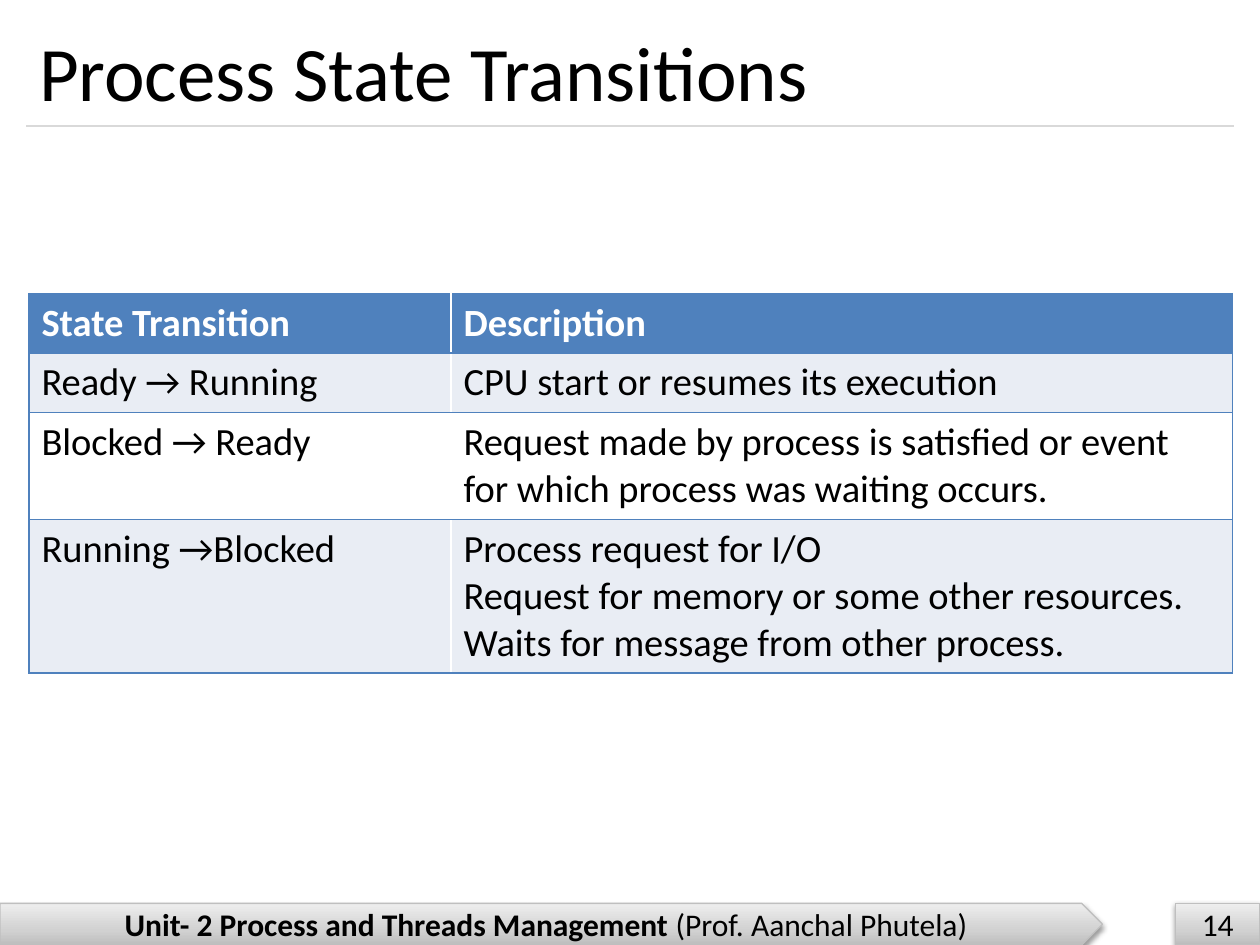
from lxml import etree
from pptx import Presentation
from pptx import util as u
from pptx.dml.color import RGBColor
from pptx.enum import shapes, text
from pptx.oxml import parse_xml
from pptx.oxml.ns import nsdecls, qn

BLACK = RGBColor(0x00, 0x00, 0x00)
WHITE = RGBColor(0xFF, 0xFF, 0xFF)
BLUE = RGBColor(0x4F, 0x81, 0xBD)
BAND = RGBColor(0xE9, 0xED, 0xF4)
RULE_GREY = RGBColor(0xD9, 0xD9, 0xD9)
EDGE_GREY = RGBColor(0xBF, 0xBF, 0xBF)
FOOTER_STOPS = [
    (0, RGBColor(0xBD, 0xBD, 0xBD)),
    (35, RGBColor(0xD1, 0xD1, 0xD1)),
    (100, RGBColor(0xEE, 0xEE, 0xEE)),
]

ROWS = [
    ("State Transition", "Description"),
    ("Ready → Running", "CPU start or resumes its execution"),
    ("Blocked → Ready",
     "Request made by process is satisfied or event for which process was waiting occurs."),
    ("Running →Blocked",
     "Process request for I/O\nRequest for memory or some other resources.\n"
     "Waits for message from other process."),
]
ROW_HEIGHTS = [0.47, 0.47, 0.85, 1.21]
COL_WIDTHS = [3.35, 6.2]


class SlideBuilder:
    def __init__(self, prs, font="Calibri"):
        self.s = prs.slides.add_slide(prs.slide_layouts[5])
        self.font = font

    def style(self, p, size, color=BLACK, bold=False):
        for r in p.runs:
            r.font.name = self.font
            r.font.size = u.Pt(size)
            r.font.bold = bold
            r.font.color.rgb = color

    def title(self, words, x, y, w, h):
        sp = self.s.shapes.title
        sp.left, sp.top, sp.width, sp.height = map(u.Inches, (x, y, w, h))
        tf = sp.text_frame
        tf.text = words
        tf.vertical_anchor = text.MSO_ANCHOR.MIDDLE
        p = tf.paragraphs[0]
        p.alignment = text.PP_ALIGN.LEFT
        self.style(p, 44)

    def rule(self, x1, x2, y):
        line = self.s.shapes.add_connector(
            shapes.MSO_CONNECTOR.STRAIGHT, *map(u.Inches, (x1, y, x2, y)))
        line.line.color.rgb = RULE_GREY
        line.line.width = u.Pt(0.75)
        etree.SubElement(line._element.spPr, qn("a:effectLst"))

    def footer(self, kind, x, w, parts):
        """Add a shaded footer shape; parts holds (words, bold) pairs."""
        sp = self.s.shapes.add_shape(kind, *map(u.Inches, (x, 7.17, w, 0.33)))
        sp.line.color.rgb = EDGE_GREY
        sp.line.width = u.Pt(0.75)
        self.shade(sp)
        tf = sp.text_frame
        tf.word_wrap = True
        tf.vertical_anchor = text.MSO_ANCHOR.MIDDLE
        p = tf.paragraphs[0]
        p.alignment = text.PP_ALIGN.CENTER
        for words, bold in parts:
            r = p.add_run()
            r.text = words
        self.style(p, 18)
        for r, (words, bold) in zip(p.runs, parts):
            r.font.bold = bold

    def shade(self, sp):
        """Give a shape the three-stop gradient and the soft shadow below."""
        stops = "".join(
            f'<a:gs pos="{pos * 1000}"><a:srgbClr val="{color}"/></a:gs>'
            for pos, color in FOOTER_STOPS)
        spPr = sp._element.spPr
        spPr.find(qn("a:prstGeom")).addnext(parse_xml(
            f'<a:gradFill {nsdecls("a")}><a:gsLst>{stops}</a:gsLst>'
            '<a:lin ang="16200000" scaled="0"/></a:gradFill>'))
        spPr.append(parse_xml(
            f'<a:effectLst {nsdecls("a")}><a:outerShdw blurRad="40000" dist="20000" '
            'dir="5400000" rotWithShape="0"><a:srgbClr val="000000">'
            '<a:alpha val="38000"/></a:srgbClr></a:outerShdw></a:effectLst>'))

    def borders(self, cell, sides):
        tcPr = cell._tc.get_or_add_tcPr()
        for i, side in enumerate(sides):
            tcPr.insert(i, parse_xml(
                f'<a:ln{side} {nsdecls("a")} w="12700"><a:solidFill>'
                f'<a:srgbClr val="{BLUE}"/></a:solidFill></a:ln{side}>'))

    def table(self, rows, x, y, widths, heights):
        table = self.s.shapes.add_table(
            len(rows), len(widths),
            *map(u.Inches, (x, y, sum(widths), sum(heights)))).table
        for col, w in zip(table.columns, widths):
            col.width = u.Inches(w)
        for i, (row, h) in enumerate(zip(rows, heights)):
            table.rows[i].height = u.Inches(h)
            for j, words in enumerate(row):
                cell = table.cell(i, j)
                cell.text_frame.text = words
                for p in cell.text_frame.paragraphs:
                    self.style(p, 22, BLACK if i else WHITE, bold=i == 0)
                cell.fill.solid()
                cell.fill.fore_color.rgb = (BAND if i % 2 else WHITE) if i else BLUE
                self.borders(cell, ("R" if j else "L") + "TB")


def main():
    prs = Presentation()
    prs.slide_width, prs.slide_height = u.Inches(10), u.Inches(7.5)
    b = SlideBuilder(prs)
    b.footer(shapes.MSO_SHAPE.PENTAGON, 0, 8.75, [
        ("Unit- 2 Process and Threads Management ", True),
        ("(Prof. Aanchal Phutela)", False)])
    b.footer(shapes.MSO_SHAPE.RECTANGLE, 9.33, 0.67, [("14", False)])
    b.rule(0.21, 9.79, 1)
    b.title("Process State Transitions", 0.21, 0.12, 9.58, 0.88)
    b.table(ROWS, 0.23, 2.33, COL_WIDTHS, ROW_HEIGHTS)
    prs.save("out.pptx")


if __name__ == "__main__":
    main()
